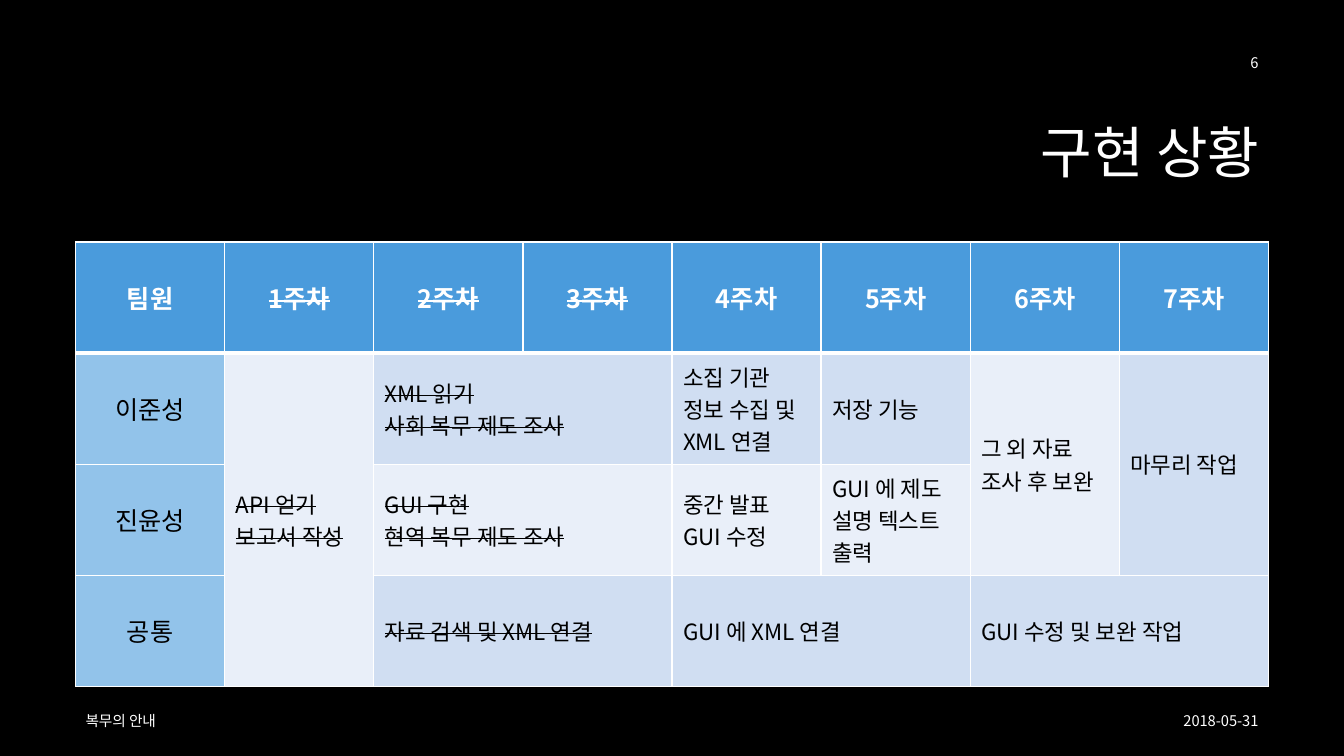
"""Build the weekly progress slide with its schedule table."""
from pptx import Presentation
from pptx.dml.color import RGBColor
from pptx.enum.text import MSO_ANCHOR as Anchor, PP_ALIGN as Align
from pptx.oxml import parse_xml
from pptx.oxml.ns import nsdecls
from pptx.util import Inches, Pt

FONT = "Noto Sans CJK KR"
WHITE, BLACK = "FFFFFF", "000000"
HEAD, NAME, DARK, LIGHT = "4A9BDC", "92C3EA", "D0DEF2", "E9EFF9"

TITLE = "구현 상황"
WEEKS = ["팀원", "1주차", "2주차", "3주차", "4주차", "5주차", "6주차", "7주차"]
DONE = 3
TEAM = ["이준성", "진윤성", "공통"]
# row, column, rows, columns, fill, lines
TASKS = [
    (1, 1, 3, 1, LIGHT, ["API 얻기", "보고서 작성"]),
    (1, 2, 1, 2, DARK, ["XML 읽기", "사회 복무 제도 조사"]),
    (1, 4, 1, 1, DARK, ["소집 기관 정보 수집 및 XML 연결"]),
    (1, 5, 1, 1, DARK, ["저장 기능"]),
    (1, 6, 2, 1, LIGHT, ["그 외 자료 조사 후 보완"]),
    (1, 7, 2, 1, DARK, ["마무리 작업"]),
    (2, 2, 1, 2, LIGHT, ["GUI 구현", "현역 복무 제도 조사"]),
    (2, 4, 1, 1, LIGHT, ["중간 발표", "GUI 수정"]),
    (2, 5, 1, 1, LIGHT, ["GUI 에 제도 설명 텍스트 출력"]),
    (3, 2, 1, 2, DARK, ["자료 검색 및 XML 연결"]),
    (3, 4, 1, 2, DARK, ["GUI 에 XML 연결"]),
    (3, 6, 1, 2, DARK, ["GUI 수정 및 보완 작업"]),
]
NOTES = [
    ("2018-05-31", 9.4, 6.95, 3.18, Align.RIGHT),
    ("복무의 안내", 0.75, 6.95, 8.5, Align.LEFT),
    ("6", 9.58, 0.42, 3, Align.RIGHT),
]
LEFT, TOP, WIDE, HIGH = 0.75, 2.4, 11.83, 4.41


def rgb(code):
    return RGBColor.from_string(code)


def write(frame, lines, size, color, align, bold=False, strike=False):
    for i, line in enumerate(lines):
        para = frame.add_paragraph() if i else frame.paragraphs[0]
        para.alignment = align
        run = para.add_run()
        run.text = line
        font = run.font
        font.name, font.size, font.bold = FONT, Pt(size), bold
        font.color.rgb = rgb(color)
        props = run._r.get_or_add_rPr()
        props.append(parse_xml(f'<a:ea {nsdecls("a")} typeface="{FONT}"/>'))
        if strike:
            props.set("strike", "sngStrike")


def edge(cell, row):
    widths = {"L": 1, "R": 1, "T": 3 if row == 1 else 1, "B": 1 if row else 3}
    for side, width in widths.items():
        cell._tc.get_or_add_tcPr().append(parse_xml(
            f'<a:ln{side} {nsdecls("a")} w="{Pt(width)}"><a:solidFill>'
            f'<a:srgbClr val="{WHITE}"/></a:solidFill></a:ln{side}>'))


def paint(cell, color):
    cell.fill.solid()
    cell.fill.fore_color.rgb = rgb(color)
    cell.vertical_anchor = Anchor.MIDDLE
    cell.margin_left = cell.margin_right = Inches(0.11)
    cell.margin_top = cell.margin_bottom = Inches(0.05)


def add_plan(slide):
    rows, cols = len(TEAM) + 1, len(WEEKS)
    plan = slide.shapes.add_table(rows, cols, Inches(LEFT), Inches(TOP),
                                  Inches(WIDE), Inches(HIGH)).table
    for col in plan.columns:
        col.width = Inches(WIDE / cols)
    for row in plan.rows:
        row.height = Inches(HIGH / rows)
    for r in range(rows):
        for c in range(cols):
            edge(plan.cell(r, c), r)
    for c, week in enumerate(WEEKS):
        cell = plan.cell(0, c)
        paint(cell, HEAD)
        write(cell.text_frame, [week], 18, WHITE, Align.CENTER, True, 1 <= c <= DONE)
    for r, name in enumerate(TEAM, 1):
        cell = plan.cell(r, 0)
        paint(cell, NAME)
        write(cell.text_frame, [name], 18, BLACK, Align.CENTER)
    for r, c, down, across, color, lines in TASKS:
        cell = plan.cell(r, c)
        if down * across > 1:
            cell.merge(plan.cell(r + down - 1, c + across - 1))
        for y in range(r, r + down):
            for x in range(c, c + across):
                paint(plan.cell(y, x), color)
        write(cell.text_frame, lines, 16, BLACK, Align.LEFT, strike=c <= DONE)


def main():
    deck = Presentation()
    deck.slide_width, deck.slide_height = Inches(13.33), Inches(7.5)
    slide = deck.slides.add_slide(deck.slide_layouts[5])
    slide.background.fill.solid()
    slide.background.fill.fore_color.rgb = rgb(BLACK)
    title = slide.shapes.title
    title.left, title.top = Inches(3.17), Inches(0.84)
    title.width, title.height = Inches(9.42), Inches(1.41)
    title.text_frame.vertical_anchor = Anchor.MIDDLE
    write(title.text_frame, [TITLE], 40, WHITE, Align.RIGHT)
    title.text_frame.paragraphs[0].line_spacing = 0.9
    add_plan(slide)
    for text, left, top, width, align in NOTES:
        frame = slide.shapes.add_textbox(Inches(left), Inches(top),
                                         Inches(width), Inches(0.4)).text_frame
        frame.word_wrap = True
        frame.vertical_anchor = Anchor.MIDDLE
        write(frame, [text], 10.5, WHITE, align)
    deck.save("out.pptx")


if __name__ == "__main__":
    main()
